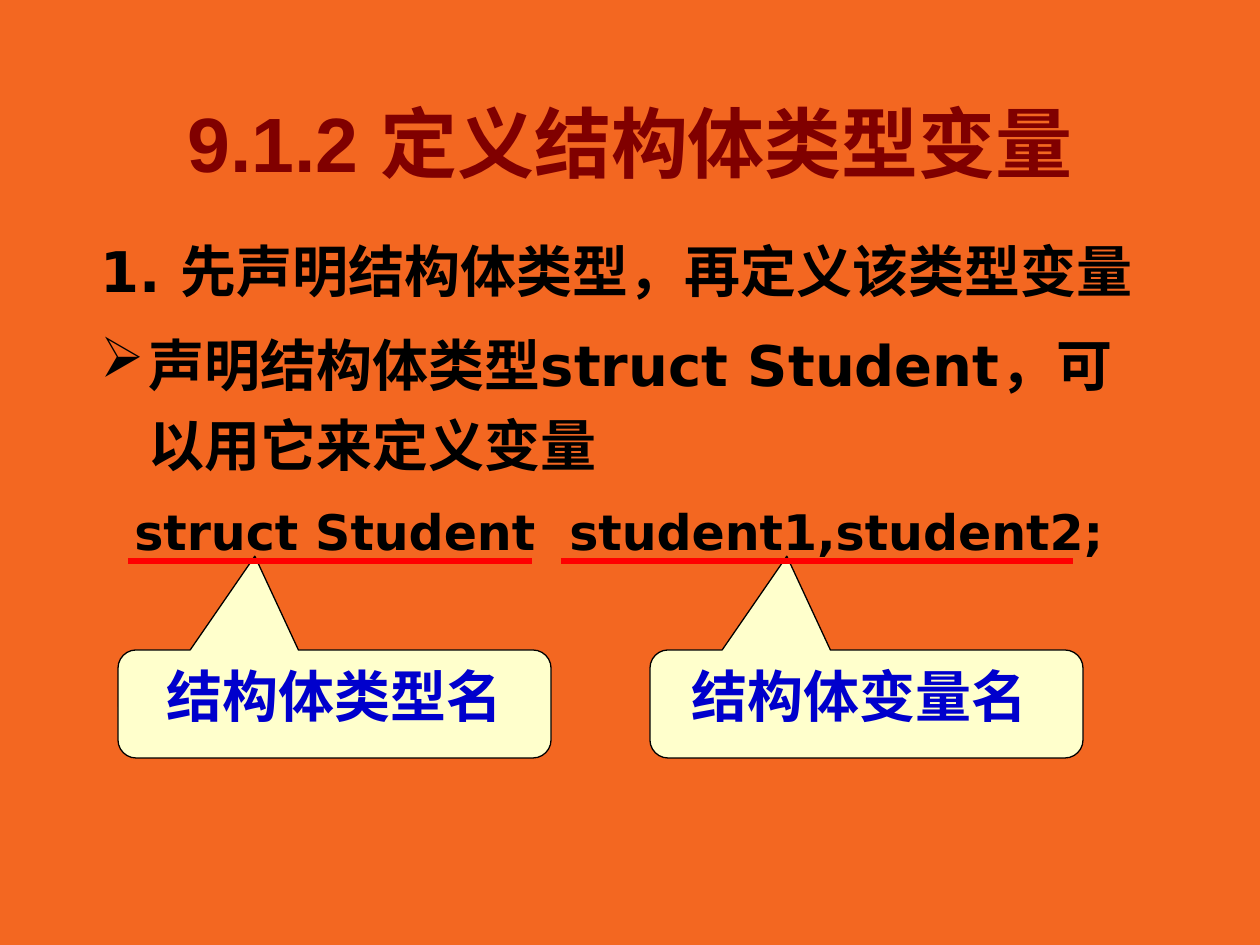
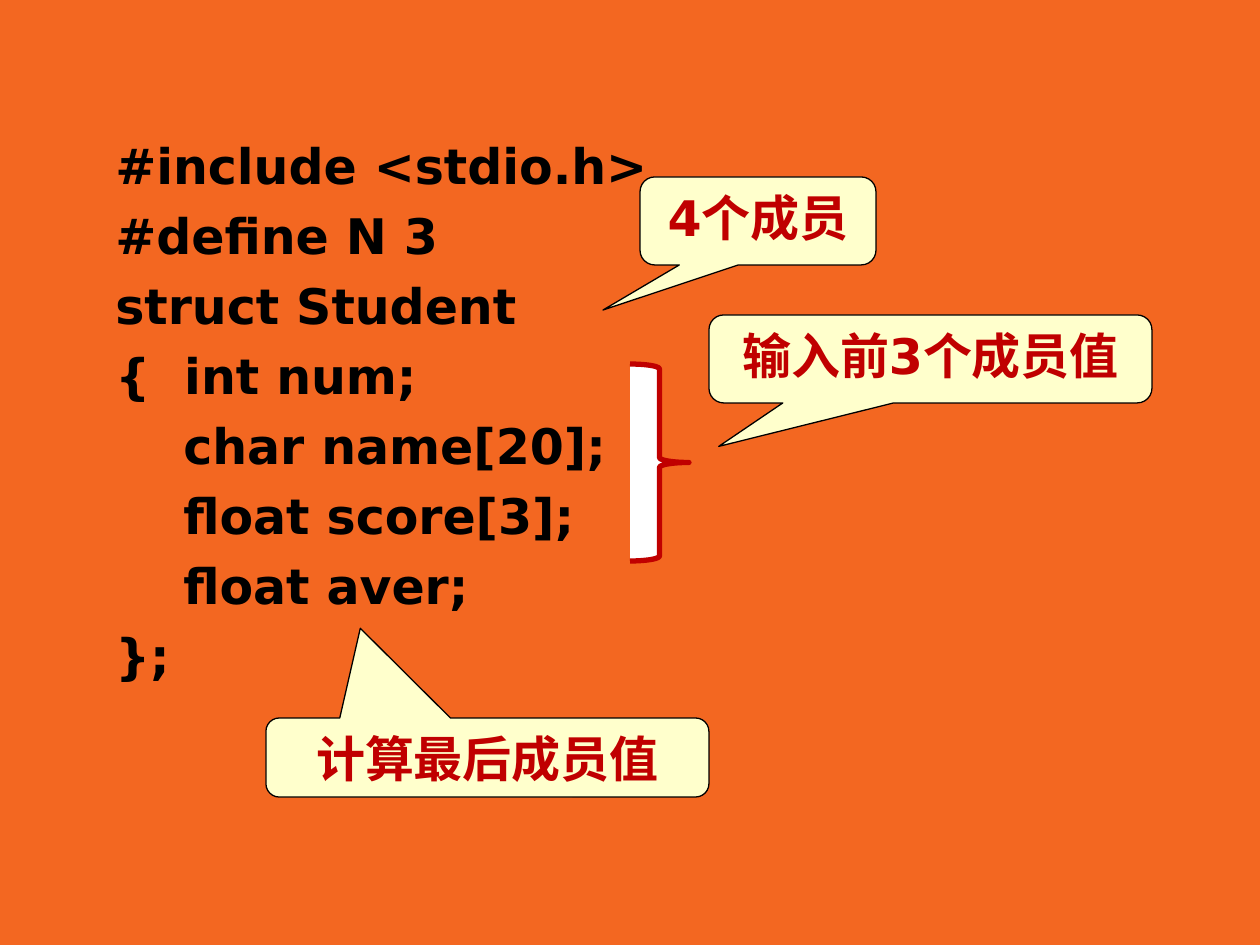
from lxml.etree import SubElement
from pptx import Presentation
from pptx.dml.color import RGBColor
from pptx.enum.shapes import MSO_CONNECTOR, MSO_SHAPE
from pptx.enum.text import MSO_ANCHOR, PP_ALIGN
from pptx.oxml.ns import qn
from pptx.util import Emu, Pt

# Shared style
PX = 914400 / 126
ORANGE, MAROON, BLACK = "F36721", "800000", "000000"
CREAM, BLUE, CRIMSON, RED, WHITE = "FFFFCC", "0000CC", "C00000", "FF0000", "FFFFFF"
TITLE_FONT, BODY_FONT = "Arial", "DejaVu Sans"
HANG = 48


def px(length):
    return Emu(round(length * PX))


def color(hex_string):
    return RGBColor.from_string(hex_string)


def set_font(paragraph, size, hex_color, name=BODY_FONT):
    font = paragraph.font
    font.name, font.size, font.bold = name, Pt(size), True
    font.color.rgb = color(hex_color)


def add_frame(slide, box):
    frame = slide.shapes.add_textbox(*map(px, box)).text_frame
    frame.word_wrap = True
    return frame


def add_title(slide, text):
    frame = add_frame(slide, (20, 89, 1221, 106))
    frame.vertical_anchor = MSO_ANCHOR.MIDDLE
    heading = frame.paragraphs[0]
    heading.alignment = PP_ALIGN.CENTER
    set_font(heading, 44, MAROON, TITLE_FONT)
    run = heading.add_run()
    run.text = text
    # Text shadow
    effects = SubElement(run.font._element, qn("a:effectLst"))
    shadow = SubElement(effects, qn("a:outerShdw"), dist="35921", dir="2700000")
    SubElement(shadow, qn("a:srgbClr"), val="DDDDDD")


def add_body(slide, box, lines, line_spacing=1.0):
    """Each line is (text, size, left margin, first-line indent, bullet)."""
    frame = add_frame(slide, box)
    for index, (text, size, margin, indent, bullet) in enumerate(lines):
        line = frame.add_paragraph() if index else frame.paragraphs[0]
        line.text = text
        line.line_spacing = line_spacing
        line.space_before = Pt(round(size * 0.23, 1))
        set_font(line, size, BLACK)
        properties = line._p.get_or_add_pPr()
        properties.set("marL", str(px(margin)))
        properties.set("indent", str(px(indent)))
        if bullet:
            mark = properties.makeelement(qn("a:buChar"), {"char": bullet})
            properties.insert_element_before(mark, "a:tabLst", "a:defRPr", "a:extLst")


def add_preset(slide, preset, box, adjustments, fill, line, width):
    shape = slide.shapes.add_shape(preset, *map(px, box))
    shape.shadow.inherit = False
    for index, value in enumerate(adjustments):
        shape.adjustments[index] = value
    shape.fill.solid()
    shape.fill.fore_color.rgb = color(fill)
    shape.line.color.rgb = color(line)
    shape.line.width = Pt(width)
    return shape


def add_callout(slide, box, tip, text, size, text_color):
    callout = add_preset(slide, MSO_SHAPE.ROUNDED_RECTANGULAR_CALLOUT, box,
                         (*tip, 0.167), CREAM, BLACK, 0.75)
    frame = callout.text_frame
    frame.word_wrap = False
    frame.vertical_anchor = MSO_ANCHOR.TOP
    label = frame.paragraphs[0]
    label.text = text
    label.alignment = PP_ALIGN.CENTER
    set_font(label, size, text_color)


def add_underline(slide, left, right, y):
    rule = slide.shapes.add_connector(MSO_CONNECTOR.STRAIGHT,
                                      px(left), px(y), px(right), px(y))
    rule.line.color.rgb = color(RED)
    rule.line.width = Pt(3)
    SubElement(rule._element.spPr, qn("a:effectLst"))


def build_definition(slide):
    add_title(slide, "9.1.2 定义结构体类型变量")
    add_body(slide, (88, 217, 1082, 462), [
        ("1. 先声明结构体类型，再定义该类型变量", 32, HANG, -HANG, None),
        ("声明结构体类型struct Student，可以用它来定义变量", 32, HANG, -HANG, "➢"),
        ("struct Student  student1,student2;", 28, 34, 0, None),
    ], line_spacing=1.2)
    # Name callouts, then the underlines they point at
    for left, text in ((118, "结构体类型名"), (650, "结构体变量名 ")):
        add_callout(slide, (left, 650, 433, 108), (-0.184, -1.369), text, 32, BLUE)
    for left, right in ((128, 532), (561, 1073)):
        add_underline(slide, left, right, 561)


def build_members(slide):
    # Code listing: (text, indent)
    code = [("#include <stdio.h>", 0), ("#define N 3", 0), ("struct Student", 0),
            ("{  int num;", 0), ("char name[20];", 68), ("float score[3];", 68),
            ("float aver;", 68), ("};", 0)]
    add_body(slide, (103, 129, 910, 650),
             [(text, 28, margin, 0, None) for text, margin in code])
    # Brace around the members that are read in
    add_preset(slide, MSO_SHAPE.RIGHT_BRACE, (630, 364, 59, 197),
               (0.083, 0.5), WHITE, CRIMSON, 3)
    for box, tip, text in (
        ((640, 177, 236, 88), (-0.657, 1.012), "4个成员"),
        ((709, 315, 443, 88), (-0.478, 0.994), "输入前3个成员值"),
        ((266, 718, 443, 79), (-0.287, -1.636), "计算最后成员值"),
    ):
        add_callout(slide, box, tip, text, 28, CRIMSON)


def main():
    deck = Presentation()
    deck.slide_width, deck.slide_height = px(1260), px(945)
    background = deck.slide_master.background.fill
    background.solid()
    background.fore_color.rgb = color(ORANGE)
    blank = deck.slide_layouts[6]
    for build in (build_definition, build_members):
        build(deck.slides.add_slide(blank))
    deck.save("out.pptx")


if __name__ == "__main__":
    main()
